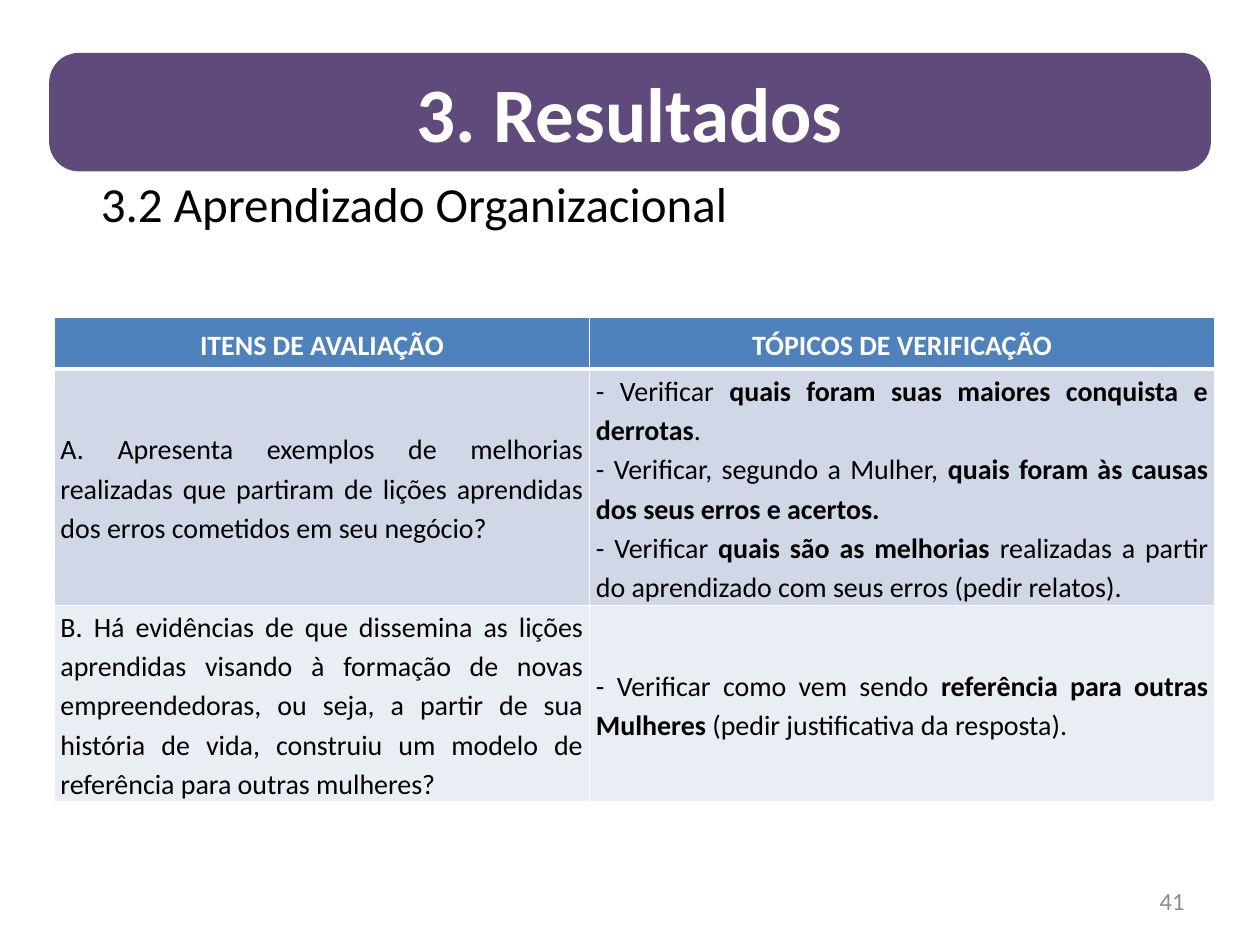
import pptx
import pptx.util
import pptx.dml.color
import pptx.enum.shapes
import pptx.enum.text
import lxml.etree

HUES = {"white": "FFFFFF", "black": "000000", "plum": "604A7B", "blue": "4F81BD",
        "mist": "D0D8E8", "pale": "E9EDF4", "gray": "8C8C8C"}
WIDE, HIGH = 10, 7.5
COLS = [4.25, 4.96]
ROW = 0.41
FILLS = ["blue", "mist", "pale"]
CELLS = [
    [["*ITENS DE AVALIAÇÃO*"], ["*TÓPICOS DE VERIFICAÇÃO*"]],
    [["A. Apresenta exemplos de melhorias realizadas que partiram de lições "
      "aprendidas dos erros cometidos em seu negócio?"],
     ["- Verificar *quais foram suas maiores conquista e derrotas*.",
      "- Verificar, segundo a Mulher, *quais foram às causas dos seus erros e acertos.*",
      "- Verificar *quais são as melhorias *realizadas a partir do aprendizado "
      "com seus erros (pedir relatos)."]],
    [["B. Há evidências de que dissemina as lições aprendidas visando à formação "
      "de novas empreendedoras, ou seja, a partir de sua história de vida, "
      "construiu um modelo de referência para outras mulheres?"],
     ["- Verificar como vem sendo *referência para outras Mulheres* "
      "(pedir justificativa da resposta)."]],
]
ALIGN = pptx.enum.text.PP_ALIGN
ANCHOR = pptx.enum.text.MSO_ANCHOR
inch = pptx.util.Inches


def tint(name):
    return pptx.dml.color.RGBColor.from_string(HUES[name])


def apply(thing, looks):
    for key, value in looks.items():
        setattr(thing, key, value)


def place(left, top, width, height):
    return [inch(part) for part in (left, top, width, height)]


def write(frame, lines, size, hue, **looks):
    for num, line in enumerate(lines):
        para = frame.paragraphs[0] if num == 0 else frame.add_paragraph()
        apply(para, looks)
        for turn, piece in enumerate(line.split("*")):
            if piece:
                run = para.add_run()
                run.text = piece
                apply(run.font, {"name": "Calibri", "size": pptx.util.Pt(size),
                                 "bold": turn % 2 == 1})
                run.font.color.rgb = tint(hue)


def edge(cell, head):
    props = cell._tc.get_or_add_tcPr()
    space = props.nsmap["a"]
    for side in "LRTB":
        width = 3 if head and side == "B" else 1
        line = lxml.etree.SubElement(props, f"{{{space}}}ln{side}",
                                     w=str(pptx.util.Pt(width)))
        fill = lxml.etree.SubElement(line, f"{{{space}}}solidFill")
        lxml.etree.SubElement(fill, f"{{{space}}}srgbClr", val=HUES["white"])


def grid(slide):
    count = len(CELLS)
    table = slide.shapes.add_table(
        count, len(COLS), *place(0.43, 2.52, sum(COLS), ROW * count)).table
    for col, width in zip(table.columns, COLS):
        col.width = inch(width)
    for row, texts in enumerate(CELLS):
        head = row == 0
        for col, lines in enumerate(texts):
            cell = table.cell(row, col)
            apply(cell, {"margin_left": inch(0.05), "margin_right": inch(0.05),
                         "margin_top": 0, "margin_bottom": 0,
                         "vertical_anchor": ANCHOR.MIDDLE})
            edge(cell, head)
            cell.fill.solid()
            cell.fill.fore_color.rgb = tint(FILLS[row])
            write(cell.text_frame, lines, 16, "white" if head else "black",
                  alignment=ALIGN.CENTER if head else ALIGN.JUSTIFY,
                  line_spacing=1.15)


def title(slide):
    shape = slide.shapes.title
    apply(shape, dict(zip(("left", "top", "width", "height"),
                          place(0.7, 1.33, 8.66, 1.07))))
    shape.text_frame.vertical_anchor = ANCHOR.TOP
    write(shape.text_frame, ["3.2 Aprendizado Organizacional"], 28, "black",
          alignment=ALIGN.LEFT)


def band(slide):
    shape = slide.shapes.add_shape(
        pptx.enum.shapes.MSO_SHAPE.ROUNDED_RECTANGLE, *place(0.39, 0.42, 9.22, 0.94))
    shape.adjustments[0] = 0.25
    shape.shadow.inherit = False
    shape.fill.solid()
    shape.fill.fore_color.rgb = tint("plum")
    shape.line.fill.background()
    shape.text_frame.vertical_anchor = ANCHOR.MIDDLE
    write(shape.text_frame, ["*3. Resultados*"], 44, "white", alignment=ALIGN.CENTER)


def folio(slide):
    frame = slide.shapes.add_textbox(*place(7.17, 6.95, 2.33, 0.4)).text_frame
    apply(frame, {"word_wrap": True, "vertical_anchor": ANCHOR.MIDDLE})
    write(frame, ["41"], 14, "gray", alignment=ALIGN.RIGHT)


def main():
    deck = pptx.Presentation()
    apply(deck, {"slide_width": inch(WIDE), "slide_height": inch(HIGH)})
    slide = deck.slides.add_slide(deck.slide_layouts[5])
    for build in (grid, title, band, folio):
        build(slide)
    deck.save("out.pptx")


if __name__ == "__main__":
    main()
